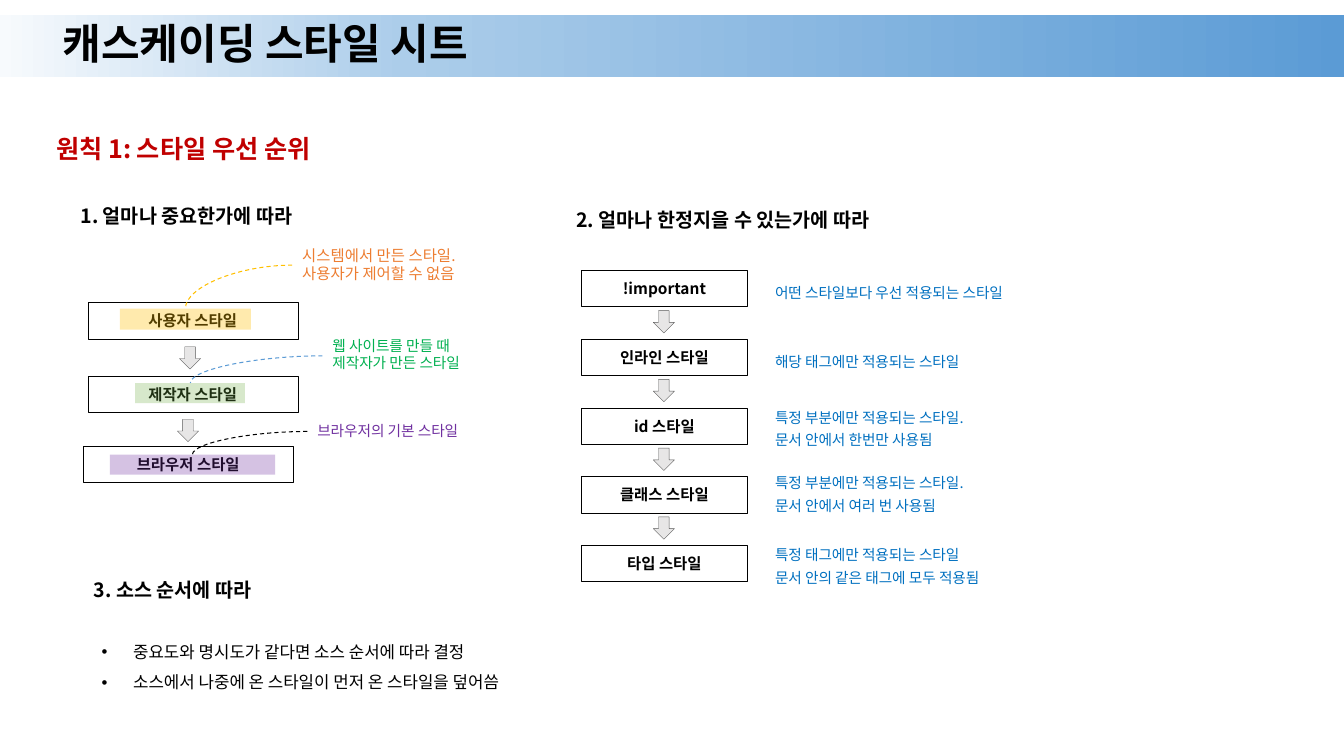
from copy import deepcopy

from lxml import etree
from pptx import Presentation
from pptx import util as u
from pptx.dml.color import RGBColor
from pptx.enum import dml, shapes, text
from pptx.oxml.ns import qn

KOREAN = "Noto Sans CJK KR"
BLACK, BLUE = "000000", "0070C0"


def paint(color, value):
    color.rgb = RGBColor.from_string(value)


class StyledSlide:
    """Holds the fonts and the current slide, and draws each kind of element in points."""

    def __init__(self, page):
        self.page = page

    def fill_text(self, frame, content, size, color=BLACK, bold=False, font=KOREAN, spacing=None, align=None):
        frame.text = content
        for para in frame.paragraphs:
            para.alignment = align
            para.line_spacing = spacing
            for span in para.runs:
                span.font.size = u.Pt(size)
                span.font.bold = bold
                span.font.name = font
                paint(span.font.color, color)
                east = etree.SubElement(span.font._element, qn("a:ea"))
                east.set("typeface", KOREAN)

    def title(self, content, left, top, width, height):
        box = self.page.shapes.title
        box.left, box.top, box.width, box.height = map(u.Pt, (left, top, width, height))
        box.text_frame.auto_size = text.MSO_AUTO_SIZE.NONE
        box.text_frame.vertical_anchor = text.MSO_ANCHOR.MIDDLE
        self.fill_text(box.text_frame, content, 30, bold=True, font="Arial", spacing=0.9,
                       align=text.PP_ALIGN.LEFT)

    def label(self, content, left, top, width, height, size, **style):
        box = self.page.shapes.add_textbox(*map(u.Pt, (left, top, width, height)))
        box.text_frame.word_wrap = True
        self.fill_text(box.text_frame, content, size, **style)
        return box

    def shape(self, kind, left, top, width, height, fill=None, line=None, alpha=None):
        box = self.page.shapes.add_shape(kind, *map(u.Pt, (left, top, width, height)))
        box.shadow.inherit = False
        if fill:
            box.fill.solid()
            paint(box.fill.fore_color, fill)
        else:
            box.fill.background()
        if alpha:
            color = box._element.spPr.find(".//" + qn("a:srgbClr"))
            etree.SubElement(color, qn("a:alpha")).set("val", str(alpha * 1000))
        if line:
            paint(box.line.color, line)
            box.line.width = u.Pt(0.25)
        else:
            box.line.fill.background()
        return box

    def step(self, content, left, top, width):
        box = self.shape(shapes.MSO_SHAPE.RECTANGLE, left, top, width, 26, line=BLACK)
        box.text_frame.vertical_anchor = text.MSO_ANCHOR.MIDDLE
        self.fill_text(box.text_frame, content, 11, bold=True, align=text.PP_ALIGN.CENTER)

    def arrow(self, left, top):
        self.shape(shapes.MSO_SHAPE.DOWN_ARROW, left, top, 15.2, 16, "E7E6E6", "595959")

    def curve(self, start, end, color):
        line = self.page.shapes.add_connector(shapes.MSO_CONNECTOR.CURVE, *map(u.Pt, start + end))
        properties = line._element.spPr
        properties.find(qn("a:prstGeom")).set("prst", "curvedConnector2")
        paint(line.line.color, color)
        line.line.width = u.Pt(0.75)
        line.line.dash_style = dml.MSO_LINE.DASH
        etree.SubElement(properties, qn("a:effectLst"))

    def band(self, top, width, height, stops):
        box = self.shape(shapes.MSO_SHAPE.RECTANGLE, 0, top, width, height)
        box.fill.gradient()
        box.fill.gradient_angle = 0
        first = box._element.spPr.find(".//" + qn("a:gs"))
        first.addnext(deepcopy(first))
        for stop, (position, color) in zip(box.fill.gradient_stops, stops):
            stop.position = position
            paint(stop.color, color)
        self.page.shapes._spTree.insert(2, box._element)

    def bullets(self, content, left, top, width, height):
        box = self.label(content, left, top, width, height, 12, font="Arial", spacing=1.5)
        for para in box.text_frame.paragraphs:
            properties = para._p.get_or_add_pPr()
            properties.set("marL", str(u.Pt(22.5)))
            properties.set("indent", str(-u.Pt(22.5)))
            etree.SubElement(properties, qn("a:buFont")).set("typeface", "Arial")
            etree.SubElement(properties, qn("a:buChar")).set("char", "•")


def main():
    deck = Presentation()
    deck.slide_width, deck.slide_height = u.Pt(960), u.Pt(540)
    slide = StyledSlide(deck.slides.add_slide(deck.slide_layouts[5]))

    slide.band(10.8, 960, 44, [(0, "F7FAFD"), (0.3, "ACCDEA"), (1, "5B9BD5")])
    slide.title("캐스케이딩 스타일 시트", 37.5, 10.8, 716, 44.6)
    slide.label("원칙 1: 스타일 우선 순위", 33, 92, 395, 29, 18, color="C00000", bold=True)
    for heading, left, top in [
        ("1. 얼마나 중요한가에 따라", 50.4, 141.8),
        ("2. 얼마나 한정지을 수 있는가에 따라", 404.6, 144.7),
        ("3. 소스 순서에 따라", 59.8, 409),
    ]:
        slide.label(heading, left, top, 257, 24.5, 14, bold=True)

    origins = [
        ("사용자 스타일", (62.7, 216), (85.7, 220.4, 93.6, 15.1), "FFC000", 32,
         "시스템에서 만든 스타일. 사용자가 제어할 수 없음", (208.8, 172, 140.4, 34), 11, "ED7D31",
         (208.8, 189.4), (132.5, 220.4), "FFC000"),
        ("제작자 스타일", (62.7, 268.5), (96.5, 273.6, 78.5, 14.4), "70AD47", 28,
         "웹 사이트를 만들 때 제작자가 만든 스타일", (230.4, 236.9, 118, 34), 10.5, "00B050",
         (230.4, 254.2), (136, 273.6), "5B9BD5"),
        ("브라우저 스타일", (59.5, 318.5), (78.5, 324.7, 118, 14.4), "7030A0", 29,
         "브라우저의 기본 스타일", (219.6, 298, 140.4, 21), 10.5, "7030A0",
         (219.6, 308.2), (137.5, 324.7), BLACK),
    ]
    for name, corner, mark, tint, alpha, note, place, size, color, start, end, stroke in origins:
        slide.step(name, *corner, 150)
        slide.shape(shapes.MSO_SHAPE.RECTANGLE, *mark, fill=tint, alpha=alpha)
        slide.label(note, *place, size, color=color)
        slide.curve(start, end, stroke)
    slide.arrow(128.2, 247.7)
    slide.arrow(126.7, 299.5)

    selectors = [
        ("!important", "어떤 스타일보다 우선 적용되는 스타일", 193, 1.5),
        ("인라인 스타일", "해당 태그에만 적용되는 스타일", 242, 1.5),
        ("id 스타일", "특정 부분에만 적용되는 스타일.\v문서 안에서 한번만 사용됨", 284.4, 1.3),
        ("클래스 스타일", "특정 부분에만 적용되는 스타일.\v문서 안에서 여러 번 사용됨", 331.2, 1.3),
        ("타입 스타일", "특정 태그에만 적용되는 스타일\n문서 안의 같은 태그에 모두 적용됨", 382.3, 1.3),
    ]
    for index, (name, note, top, spacing) in enumerate(selectors):
        step_top = 193 + 49.1 * index
        slide.step(name, 415.4, step_top, 118.5)
        slide.label(note, 546.5, top, 212, 39, 10.5, color=BLUE, spacing=spacing)
        if index:
            slide.arrow(466.6, step_top - 20.2)

    slide.bullets("중요도와 명시도가 같다면 소스 순서에 따라 결정\n"
                  "소스에서 나중에 온 스타일이 먼저 온 스타일을 덮어씀", 65.5, 447.8, 409, 48)
    deck.save("out.pptx")


if __name__ == "__main__":
    main()
